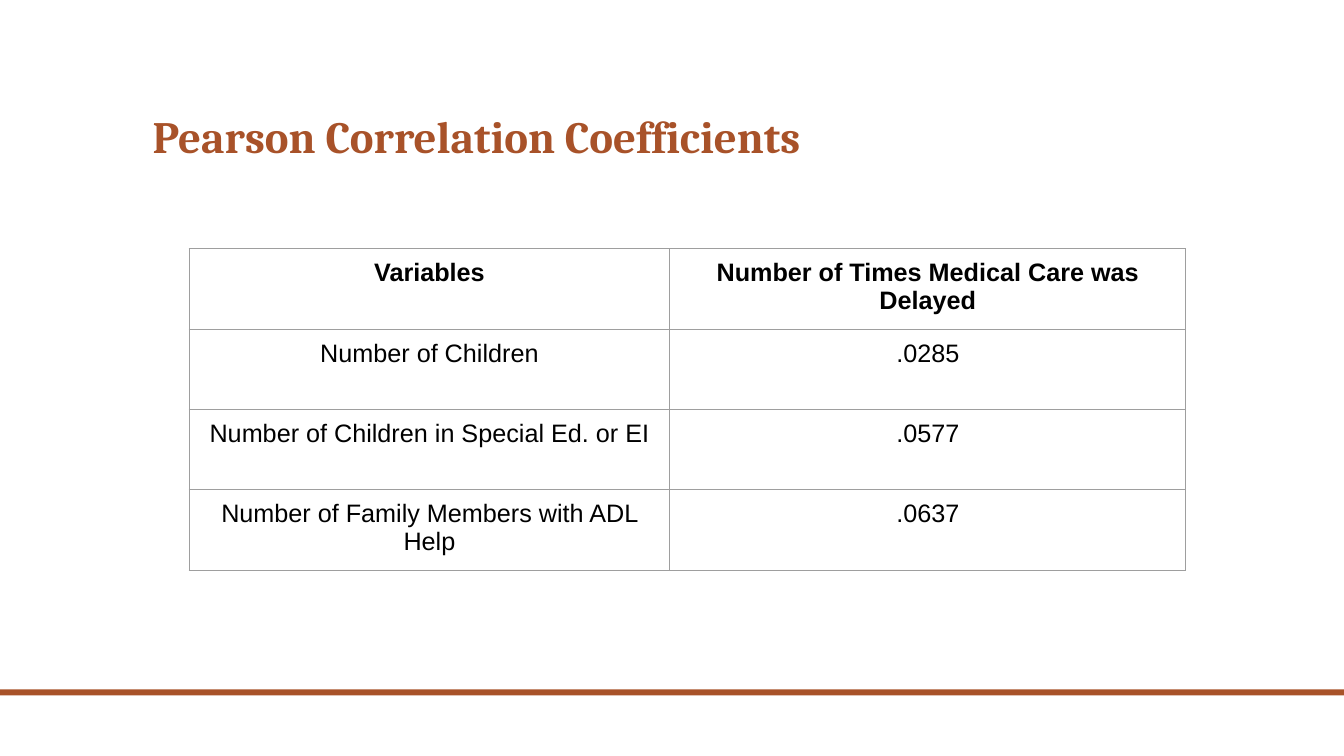
from dataclasses import dataclass
from typing import NamedTuple

from lxml.etree import SubElement
from pptx import Presentation
from pptx.dml.color import RGBColor
from pptx.enum.shapes import MSO_SHAPE as Preset
from pptx.enum.text import MSO_ANCHOR as Anchor, PP_ALIGN as Align
from pptx.oxml.ns import qn
from pptx.slide import Slide
from pptx.table import _Cell as Cell
from pptx.text.text import _Paragraph as Paragraph
from pptx.util import Pt


@dataclass(frozen=True)
class Theme:
    """Colours, fonts and type sizes of the slide."""
    accent: RGBColor = RGBColor(0xA8, 0x52, 0x29)
    ink: RGBColor = RGBColor(0, 0, 0)
    grid: RGBColor = RGBColor(0x9E, 0x9E, 0x9E)
    title_font: str = "Cambria"
    body_font: str = "Arial"
    title_size: float = 32
    body_size: float = 18
    grid_width: float = 0.75


class Frame(NamedTuple):
    """A rectangle in points."""
    left: float
    top: float
    width: float
    height: float

    def lengths(self) -> list[Pt]:
        """Return the four values as lengths."""
        return [Pt(value) for value in self]


class Row(NamedTuple):
    """One line of the correlation table."""
    variable: str
    delayed_care: str


THEME = Theme()
PAGE_WIDTH, PAGE_HEIGHT = 960, 540
TITLE = Frame(102, 30, 756, 90)
FOOTER_BAR = Frame(0, 492.5, PAGE_WIDTH, 4.3)
COLUMN_WIDTHS = (343.5, 368.5)
ROW_HEIGHT = 57.4
CELL_MARGIN = 7.2
ROWS = [
    Row("Variables", "Number of Times Medical Care was Delayed"),
    Row("Number of Children", ".0285"),
    Row("Number of Children in Special Ed. or EI", ".0577"),
    Row("Number of Family Members with ADL Help", ".0637"),
]
TABLE = Frame(135, 177.5, sum(COLUMN_WIDTHS), ROW_HEIGHT * len(ROWS))


def style(para: Paragraph, name: str, size: float, color: RGBColor, bold: bool) -> None:
    """Set the font of a paragraph."""
    font = para.font
    font.name, font.size, font.bold = name, Pt(size), bold
    font.color.rgb = color


def add_footer_bar(page: Slide) -> None:
    """Draw the bar across the foot of the slide."""
    bar = page.shapes.add_shape(Preset.RECTANGLE, *FOOTER_BAR.lengths())
    bar.shadow.inherit = False
    bar.fill.solid()
    bar.fill.fore_color.rgb = THEME.accent
    bar.line.fill.background()


def add_title(page: Slide, text: str) -> None:
    """Write the slide title, resting on the bottom of its box."""
    box = page.shapes.add_textbox(*TITLE.lengths())
    frame = box.text_frame
    frame.word_wrap = True
    frame.vertical_anchor = Anchor.BOTTOM
    para = frame.paragraphs[0]
    para.text = text
    para.line_spacing = 0.9
    style(para, THEME.title_font, THEME.title_size, THEME.accent, True)


def add_borders(cell: Cell) -> None:
    """Draw a thin line on each side of a cell."""
    properties = cell._tc.get_or_add_tcPr()
    for position, side in enumerate(("lnL", "lnR", "lnT", "lnB")):
        line = SubElement(properties, qn(f"a:{side}"), w=str(Pt(THEME.grid_width)))
        properties.insert(position, line)
        fill = SubElement(line, qn("a:solidFill"))
        SubElement(fill, qn("a:srgbClr"), val=str(THEME.grid))


def fill_cell(cell: Cell, text: str, bold: bool) -> None:
    """Write and format one table cell."""
    cell.fill.background()
    cell.margin_left = cell.margin_right = Pt(CELL_MARGIN)
    cell.margin_top = cell.margin_bottom = Pt(CELL_MARGIN)
    para = cell.text_frame.paragraphs[0]
    para.text = text
    para.alignment = Align.CENTER
    style(para, THEME.body_font, THEME.body_size, THEME.ink, bold)
    add_borders(cell)


def add_correlation_table(page: Slide) -> None:
    """Build the table of coefficients under a bold heading row."""
    table = page.shapes.add_table(len(ROWS), len(COLUMN_WIDTHS), *TABLE.lengths()).table
    table.horz_banding = False
    for column, width in zip(table.columns, COLUMN_WIDTHS):
        column.width = Pt(width)
    for index, row in enumerate(ROWS):
        table.rows[index].height = Pt(ROW_HEIGHT)
        for cell, text in zip(table.rows[index].cells, row):
            fill_cell(cell, text, bold=index == 0)


def main() -> None:
    """Build and save the slide."""
    deck = Presentation()
    deck.slide_width, deck.slide_height = Pt(PAGE_WIDTH), Pt(PAGE_HEIGHT)
    page = deck.slides.add_slide(deck.slide_layouts[6])
    add_footer_bar(page)
    add_title(page, "Pearson Correlation Coefficients")
    add_correlation_table(page)
    deck.save("out.pptx")


main()
